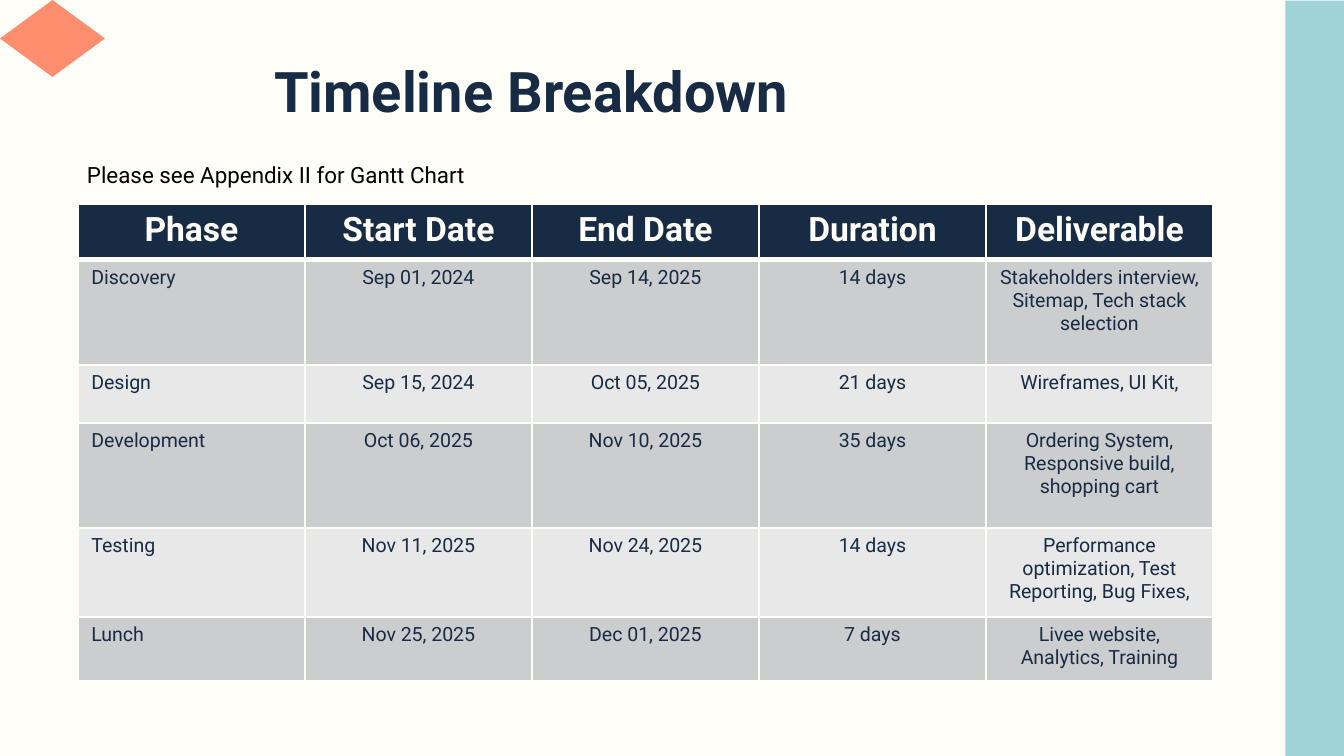
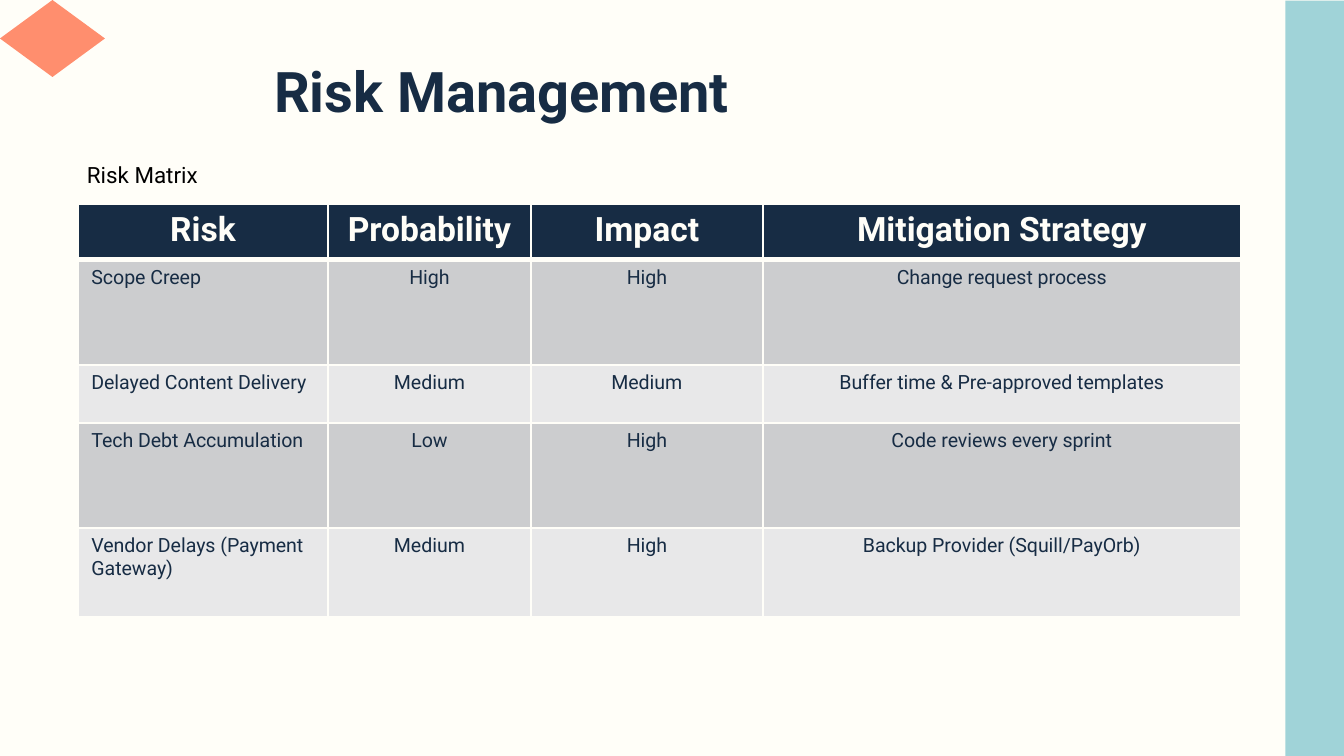
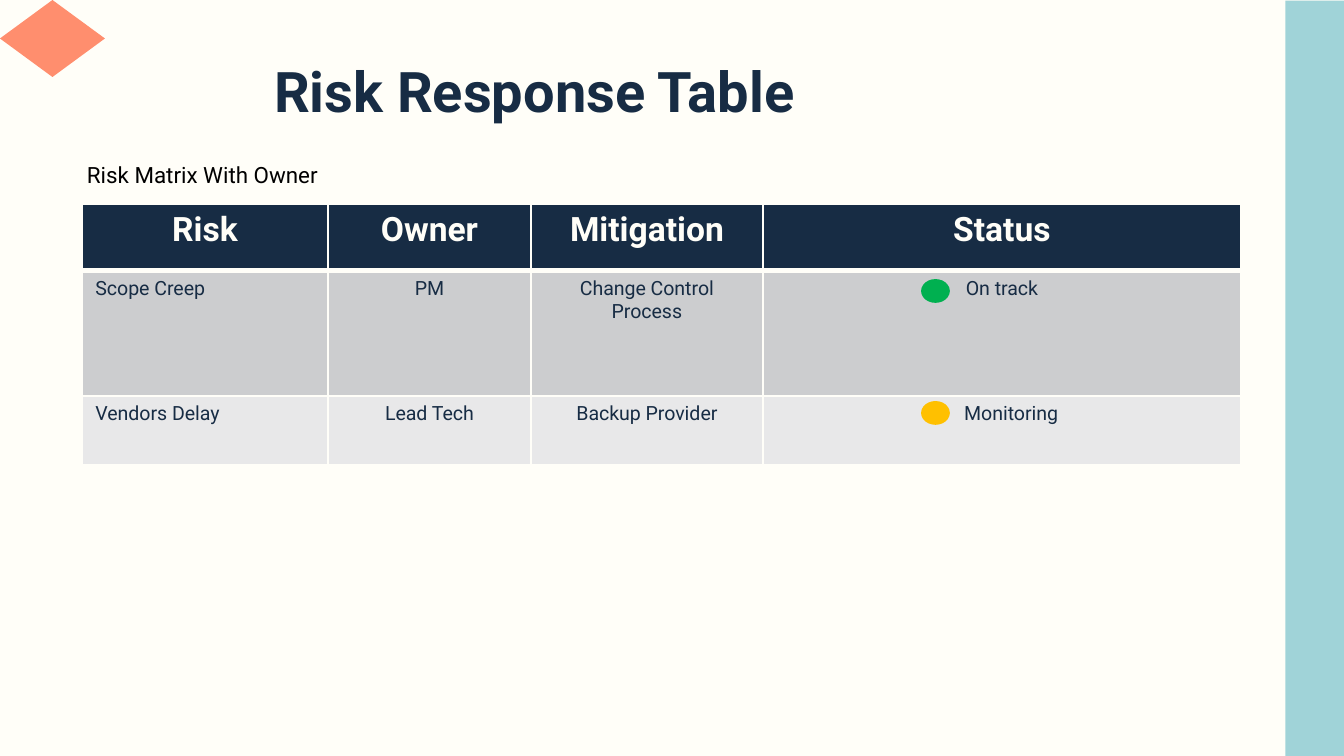
import lxml.etree
import pptx
import pptx.dml.color
import pptx.enum.shapes
import pptx.enum.text
import pptx.oxml.ns
import pptx.util

EMU_PER_PX = 914400 / 134.4
SLIDE_WIDTH, SLIDE_HEIGHT = 1344, 756
TABLE_TOP = 204
ALIGN = pptx.enum.text.PP_ALIGN
SHAPE = pptx.enum.shapes.MSO_SHAPE


def px(length):
    return pptx.util.Emu(round(length * EMU_PER_PX))


def color(hex_code):
    return pptx.dml.color.RGBColor.from_string(hex_code)


class Deck:
    font = "Roboto"
    cream = "FFFEF8"
    navy = "172C44"
    teal = "A0D3D8"
    coral = "FF8E6E"
    black = "000000"
    bands = ("E8E8E9", "CCCDCF")

    def __init__(self):
        self.presentation = pptx.Presentation()
        self.presentation.slide_width = px(SLIDE_WIDTH)
        self.presentation.slide_height = px(SLIDE_HEIGHT)
        background = self.presentation.slide_master.background.fill
        background.solid()
        background.fore_color.rgb = color(self.cream)
        self.slide = None

    def start_slide(self, title, subtitle):
        layout = self.presentation.slide_layouts.get_by_name("Title Only")
        self.slide = self.presentation.slides.add_slide(layout)
        side_band = self.shape(SHAPE.RECTANGLE, (937, 349, SLIDE_HEIGHT, 59), self.teal)
        side_band.rotation = 270
        self.shape(SHAPE.DIAMOND, (0, 0, 105, 77), self.coral)
        self.title(title)
        self.subtitle(subtitle)

    def style_text(self, paragraph, size, hex_code, bold=False, align=ALIGN.LEFT):
        paragraph.alignment = align
        for run in paragraph.runs:
            run.font.name = self.font
            run.font.size = pptx.util.Pt(size)
            run.font.bold = bold
            run.font.color.rgb = color(hex_code)

    def frame(self, holder, text, anchor):
        frame = holder.text_frame
        frame.text = text
        frame.word_wrap = True
        frame.auto_size = pptx.enum.text.MSO_AUTO_SIZE.NONE
        frame.vertical_anchor = anchor
        frame.margin_left = frame.margin_right = px(13)
        frame.margin_top = frame.margin_bottom = px(13)
        return frame.paragraphs[0]

    def title(self, text):
        heading = self.slide.shapes.title
        heading.left, heading.top, heading.width, heading.height = map(px, (261, 39, 695, 98))
        paragraph = self.frame(heading, text, pptx.enum.text.MSO_ANCHOR.BOTTOM)
        self.style_text(paragraph, 30, self.navy, bold=True)

    def subtitle(self, text):
        caption = self.slide.shapes.add_textbox(*map(px, (51, 148, 1191, 546)))
        paragraph = self.frame(caption, text, pptx.enum.text.MSO_ANCHOR.TOP)
        paragraph.space_before = pptx.util.Pt(10)
        self.style_text(paragraph, 12, self.black)
        properties = paragraph._p.get_or_add_pPr()
        properties.set("marL", str(px(67)))
        properties.set("indent", str(px(-44)))

    def shape(self, kind, box, fill, line_width=0):
        shape = self.slide.shapes.add_shape(kind, *map(px, box))
        shape.shadow.inherit = False
        shape.fill.solid()
        shape.fill.fore_color.rgb = color(fill)
        if line_width:
            shape.line.color.rgb = color(fill)
            shape.line.width = pptx.util.Pt(line_width)
        else:
            shape.line.fill.background()
        return shape

    def status_dot(self, top, fill):
        self.shape(SHAPE.FLOWCHART_CONNECTOR, (923, top, 25, 20), fill, line_width=2)

    def borders(self, cell, row):
        qn = pptx.oxml.ns.qn
        widths = {"L": 1, "R": 1, "T": 3 if row == 1 else 1, "B": 3 if row == 0 else 1}
        properties = cell._tc.get_or_add_tcPr()
        for side, width in widths.items():
            edge = lxml.etree.SubElement(
                properties, qn("a:ln" + side), w=str(pptx.util.Pt(width)))
            paint = lxml.etree.SubElement(edge, qn("a:solidFill"))
            lxml.etree.SubElement(paint, qn("a:srgbClr"), val=self.cream)

    def table(self, left, widths, heights, records):
        box = (left, TABLE_TOP, sum(widths), sum(heights))
        table = self.slide.shapes.add_table(
            len(heights), len(widths), *map(px, box)).table
        table.horz_banding = False
        for column, width in zip(table.columns, widths):
            column.width = px(width)
        for row, height in zip(table.rows, heights):
            row.height = px(height)
        for r, record in enumerate(records):
            header = r == 0
            for c, text in enumerate(record):
                cell = table.cell(r, c)
                cell.text = text
                self.borders(cell, r)
                cell.fill.solid()
                cell.fill.fore_color.rgb = color(self.navy if header else self.bands[r % 2])
                self.style_text(
                    cell.text_frame.paragraphs[0],
                    18 if header else 10.5,
                    self.cream if header else self.navy,
                    bold=header,
                    align=ALIGN.CENTER if header or c else ALIGN.LEFT,
                )
        return table


def main():
    deck = Deck()

    deck.start_slide("Timeline Breakdown", "Please see Appendix II for Gantt Chart")
    deck.table(78, [227] * 5, [56, 105, 58, 105, 89, 64], [
        ("Phase", "Start Date", "End Date", "Duration", "Deliverable"),
        ("Discovery", "Sep 01, 2024", "Sep 14, 2025", "14 days",
         "Stakeholders interview, Sitemap, Tech stack selection"),
        ("Design", "Sep 15, 2024", "Oct 05, 2025", "21 days", "Wireframes, UI Kit,"),
        ("Development", "Oct 06, 2025", "Nov 10, 2025", "35 days",
         "Ordering System, Responsive build, shopping cart"),
        ("Testing", "Nov 11, 2025", "Nov 24, 2025", "14 days",
         "Performance optimization, Test Reporting, Bug Fixes,"),
        ("Lunch", "Nov 25, 2025", "Dec 01, 2025", "7 days",
         "Livee website, Analytics, Training"),
    ])

    deck.start_slide("Risk Management", "Risk Matrix")
    deck.table(78, [250, 203, 232, 478], [56, 105, 58, 105, 89], [
        ("Risk", "Probability", "Impact", "Mitigation Strategy"),
        ("Scope Creep", "High", "High", "Change request process"),
        ("Delayed Content Delivery", "Medium", "Medium",
         "Buffer time & Pre-approved templates"),
        ("Tech Debt Accumulation", "Low", "High", "Code reviews every sprint"),
        ("Vendor Delays (Payment Gateway)", "Medium", "High",
         "Backup Provider (Squill/PayOrb)"),
    ])

    deck.start_slide("Risk Response Table", "Risk Matrix With Owner")
    responses = deck.table(82, [246, 203, 232, 478], [67, 125, 69], [
        ("Risk", "Owner", "Mitigation", "Status"),
        ("Scope Creep", "PM", "Change Control Process", "On track"),
        ("Vendors Delay", "Lead Tech", "Backup Provider", "Monitoring"),
    ])
    responses.cell(2, 3).margin_left = px(32)
    deck.status_dot(281, "00B050")
    deck.status_dot(403, "FFC000")

    deck.presentation.save("out.pptx")


if __name__ == "__main__":
    main()
